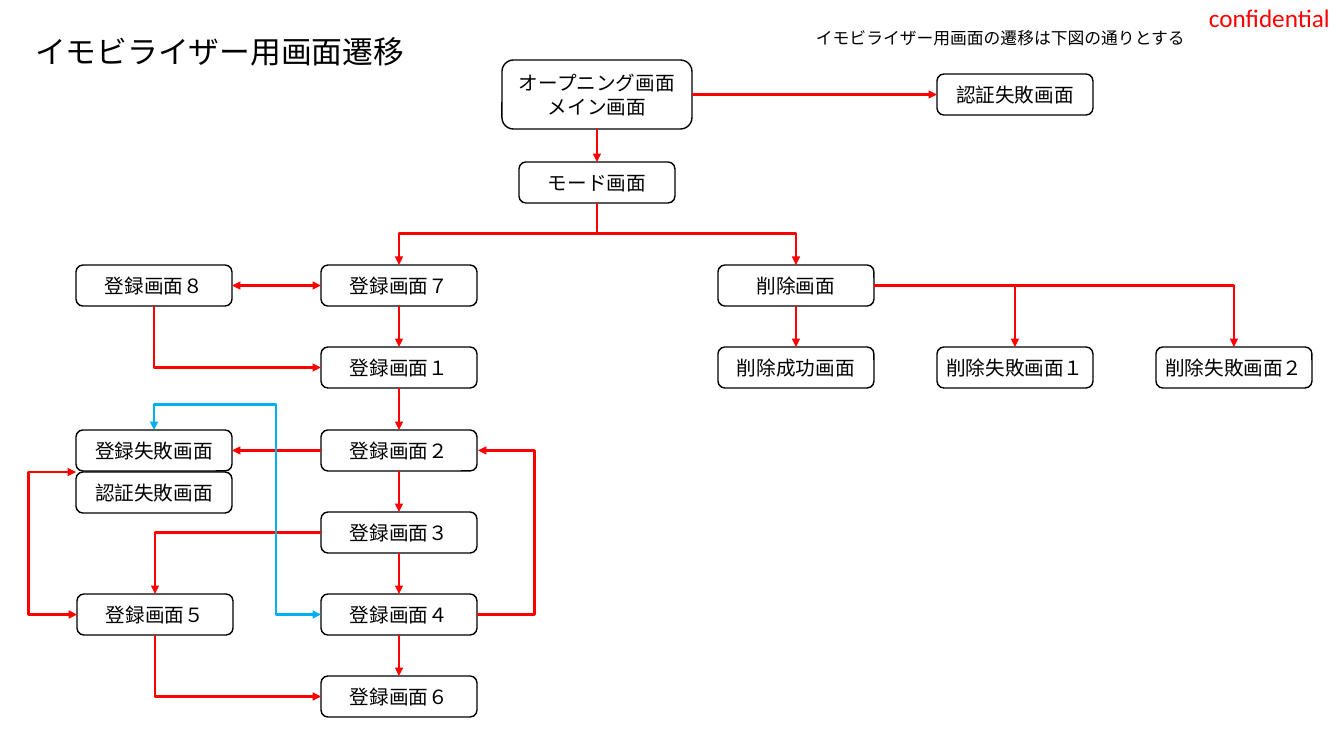
from pptx import Presentation
from pptx.dml.color import RGBColor
from pptx.enum.shapes import MSO_CONNECTOR as Link, MSO_SHAPE as Shape
from pptx.enum.text import MSO_ANCHOR as Anchor, MSO_AUTO_SIZE as AutoSize, PP_ALIGN as Align
from pptx.oxml.ns import qn
from pptx.util import Pt
from lxml.etree import SubElement

BLACK = RGBColor(0, 0, 0)
WHITE = RGBColor(255, 255, 255)
RED = RGBColor(255, 0, 0)
BLUE = RGBColor(0, 176, 240)
JAPANESE = "Noto Sans CJK JP"

# Content: headings as text, box, size, font, colour, wrap
TITLE = ("イモビライザー用画面遷移", (25, 32, 757, 43), 22, JAPANESE, BLACK, True)
LABELS = [
    ("confidential", (1199, -3, 145, 40), 18, "Calibri", RED, False),
    ("イモビライザー用画面の遷移は下図の通りとする", (806, 23, 538, 30), 12, JAPANESE, BLACK, True),
]

# Screens as key: text, left, top
SCREEN_W, SCREEN_H = 156, 41
ROWS = [round(265 + 82.3 * i) for i in range(6)]
LEFT, REGISTER, MODE, DELETE, FAIL_1, FAIL_2 = 76, 321, 519, 718, 937, 1156
SCREENS = {
    "mode": ("モード画面", MODE, 162),
    "reg1": ("登録画面１", REGISTER, ROWS[1]),
    "reg2": ("登録画面２", REGISTER, ROWS[2]),
    "reg3": ("登録画面３", REGISTER, ROWS[3]),
    "reg4": ("登録画面４", REGISTER, ROWS[4]),
    "reg5": ("登録画面５", LEFT + 1, ROWS[4]),
    "reg6": ("登録画面６", REGISTER, ROWS[5]),
    "reg7": ("登録画面７", REGISTER, ROWS[0]),
    "reg8": ("登録画面８", LEFT, ROWS[0]),
    "delete": ("削除画面", DELETE, ROWS[0]),
    "deleted": ("削除成功画面", DELETE, ROWS[1]),
    "delete_fail1": ("削除失敗画面１", FAIL_1, ROWS[1]),
    "delete_fail2": ("削除失敗画面２", FAIL_2, ROWS[1]),
    "reg_fail": ("登録失敗画面", LEFT, ROWS[2]),
    "auth_fail": ("認証失敗画面", FAIL_1, 74),
    "reg_auth_fail": ("認証失敗画面", LEFT, ROWS[2] + 42),
}
OPENING = ("オープニング画面\nメイン画面", 502, 60, 190, 69)

TOP, WEST, BOTTOM, EAST = range(4)
# Straight arrows: from, side, to, side, arrowhead at both ends
STRAIGHT = [
    ("reg8", EAST, "reg7", WEST, True),
    ("reg7", BOTTOM, "reg1", TOP, False),
    ("reg1", BOTTOM, "reg2", TOP, False),
    ("reg2", BOTTOM, "reg3", TOP, False),
    ("reg3", BOTTOM, "reg4", TOP, False),
    ("reg4", BOTTOM, "reg6", TOP, False),
    ("reg2", WEST, "reg_fail", EAST, False),
    ("opening", BOTTOM, "mode", TOP, False),
    ("delete", BOTTOM, "deleted", TOP, False),
    ("opening", EAST, "auth_fail", WEST, False),
]
# Bent arrows: from, to, segments, rotation, flips, bends, colour, both ends
RETURN_POINT = (REGISTER + SCREEN_W + 1, ROWS[2] + SCREEN_H / 2)
FAIL_POINT = (LEFT, ROWS[2] + 42)
BENT = [
    (("mode", BOTTOM), ("reg7", TOP), 3, 90, "", [0.5], RED, False),
    (("mode", BOTTOM), ("delete", TOP), 3, 270, "H", [0.5], RED, False),
    (("reg3", WEST), ("reg5", TOP), 2, 180, "V", [], RED, False),
    (("reg5", BOTTOM), ("reg6", WEST), 2, 270, "H", [], RED, False),
    (("reg8", BOTTOM), ("reg1", WEST), 2, 270, "H", [], RED, False),
    (("reg4", EAST), RETURN_POINT, 3, 0, "V", [58], RED, False),
    (FAIL_POINT, ("reg5", WEST), 3, 180, "HV", [-48], RED, True),
    (("reg4", WEST), ("reg_fail", TOP), 4, 180, "", [0.27, 1.14], BLUE, True),
    (("delete", EAST), ("delete_fail1", TOP), 2, 0, "", [], RED, False),
    (("delete", EAST), ("delete_fail2", TOP), 2, 0, "", [], RED, False),
]


def px(length):
    return round(length * 914400 / 100.8)


def apply(target, **values):
    for name, value in values.items():
        setattr(target, name, value)


def write(frame, text, size, font, color, **paragraph_format):
    frame.text = text
    for paragraph in frame.paragraphs:
        apply(paragraph, **paragraph_format)
        for run in paragraph.runs:
            apply(run.font, size=Pt(size), name=font)
            run.font.color.rgb = color
            SubElement(run.font._element, qn("a:ea"), typeface=font)


def add_screen(text, left, top, width=SCREEN_W, height=SCREEN_H):
    screen = slide.shapes.add_shape(Shape.ROUNDED_RECTANGLE, *map(px, (left, top, width, height)))
    screen.shadow.inherit = False
    screen.fill.solid()
    screen.fill.fore_color.rgb = WHITE
    screen.line.color.rgb = BLACK
    screen.line.width = Pt(1)
    apply(screen.text_frame, vertical_anchor=Anchor.MIDDLE, margin_left=px(4), margin_right=px(4),
          margin_top=px(4), margin_bottom=px(4))
    write(screen.text_frame, text, 14, JAPANESE, BLACK, alignment=Align.CENTER)
    return screen


def style_arrow(arrow, color, both):
    arrow.line.color.rgb = color
    arrow.line.width = Pt(2)
    properties = arrow._element.spPr
    outline = properties.find(qn("a:ln"))
    for end in ["a:headEnd", "a:tailEnd"] if both else ["a:tailEnd"]:
        SubElement(outline, qn(end), type="triangle")
    SubElement(properties, qn("a:effectLst"))


def locate(place):
    """Turn a (screen, side) pair or a px point into EMU."""
    if place[0] not in screens:
        return tuple(map(px, place))
    box, side = screens[place[0]], place[1]
    across, down = [(0.5, 0), (0, 0.5), (0.5, 1), (1, 0.5)][side]
    return round(box.left + box.width * across), round(box.top + box.height * down)


def add_bent(start, end, segments, rotation, flips, bends, color, both):
    (x1, y1), (x2, y2) = locate(start), locate(end)
    width, height = abs(x2 - x1), abs(y2 - y1)
    if rotation in (90, 270):
        width, height = height, width
    left, top = (x1 + x2 - width) // 2, (y1 + y2 - height) // 2
    arrow = slide.shapes.add_connector(Link.ELBOW, left, top, left + width, top + height)
    frame = arrow._element.spPr.find(qn("a:xfrm"))
    frame.set("rot", str(rotation * 60000))
    for axis in flips:
        frame.set("flip" + axis, "1")
    geometry = arrow._element.spPr.find(qn("a:prstGeom"))
    geometry.set("prst", f"bentConnector{segments}")
    for number, bend in enumerate(bends, 1):
        SubElement(geometry.find(qn("a:avLst")), qn("a:gd"), name=f"adj{number}",
                   fmla=f"val {round(bend * 100000)}")
    style_arrow(arrow, color, both)


prs = Presentation()
apply(prs, slide_width=px(1344), slide_height=px(756))
slide = prs.slides.add_slide(prs.slide_layouts[5])

# Title
text, (left, top, width, height), size, font, color, wrap = TITLE
title = slide.shapes.title
apply(title, left=px(left), top=px(top), width=px(width), height=px(height))
apply(title.text_frame, vertical_anchor=Anchor.MIDDLE, word_wrap=wrap, auto_size=AutoSize.NONE)
write(title.text_frame, text, size, font, color, alignment=Align.LEFT, line_spacing=0.9)

# Labels
for text, box, size, font, color, wrap in LABELS:
    label = slide.shapes.add_textbox(*map(px, box))
    apply(label.text_frame, word_wrap=wrap, auto_size=AutoSize.SHAPE_TO_FIT_TEXT)
    write(label.text_frame, text, size, font, color)

# Screens
screens = {key: add_screen(*screen) for key, screen in SCREENS.items()}
screens["opening"] = add_screen(*OPENING)

# Arrows
for origin, origin_side, target, target_side, both in STRAIGHT:
    arrow = slide.shapes.add_connector(
        Link.STRAIGHT, *locate((origin, origin_side)), *locate((target, target_side)))
    arrow.begin_connect(screens[origin], origin_side)
    arrow.end_connect(screens[target], target_side)
    style_arrow(arrow, RED, both)
for route in BENT:
    add_bent(*route)

prs.save("out.pptx")
